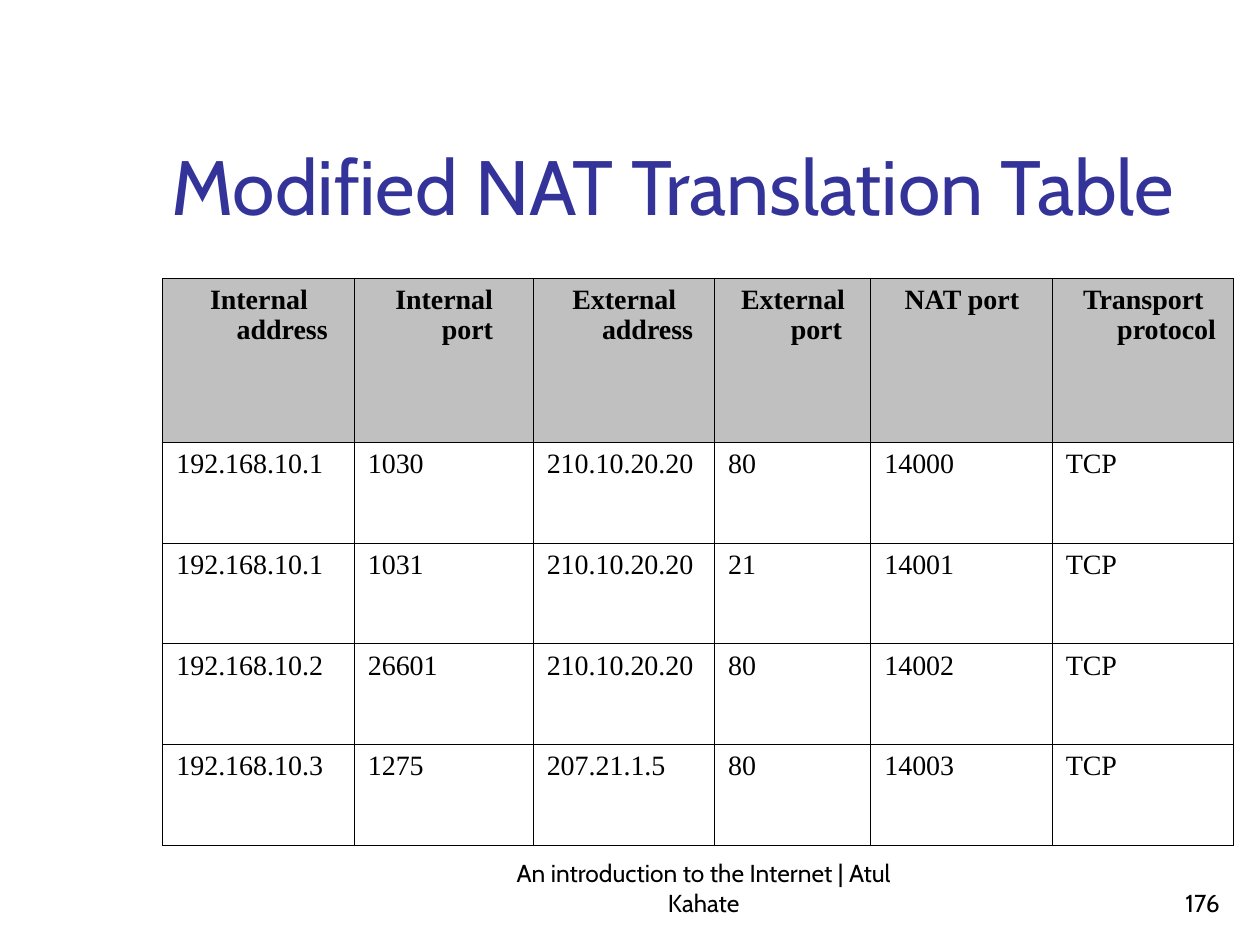
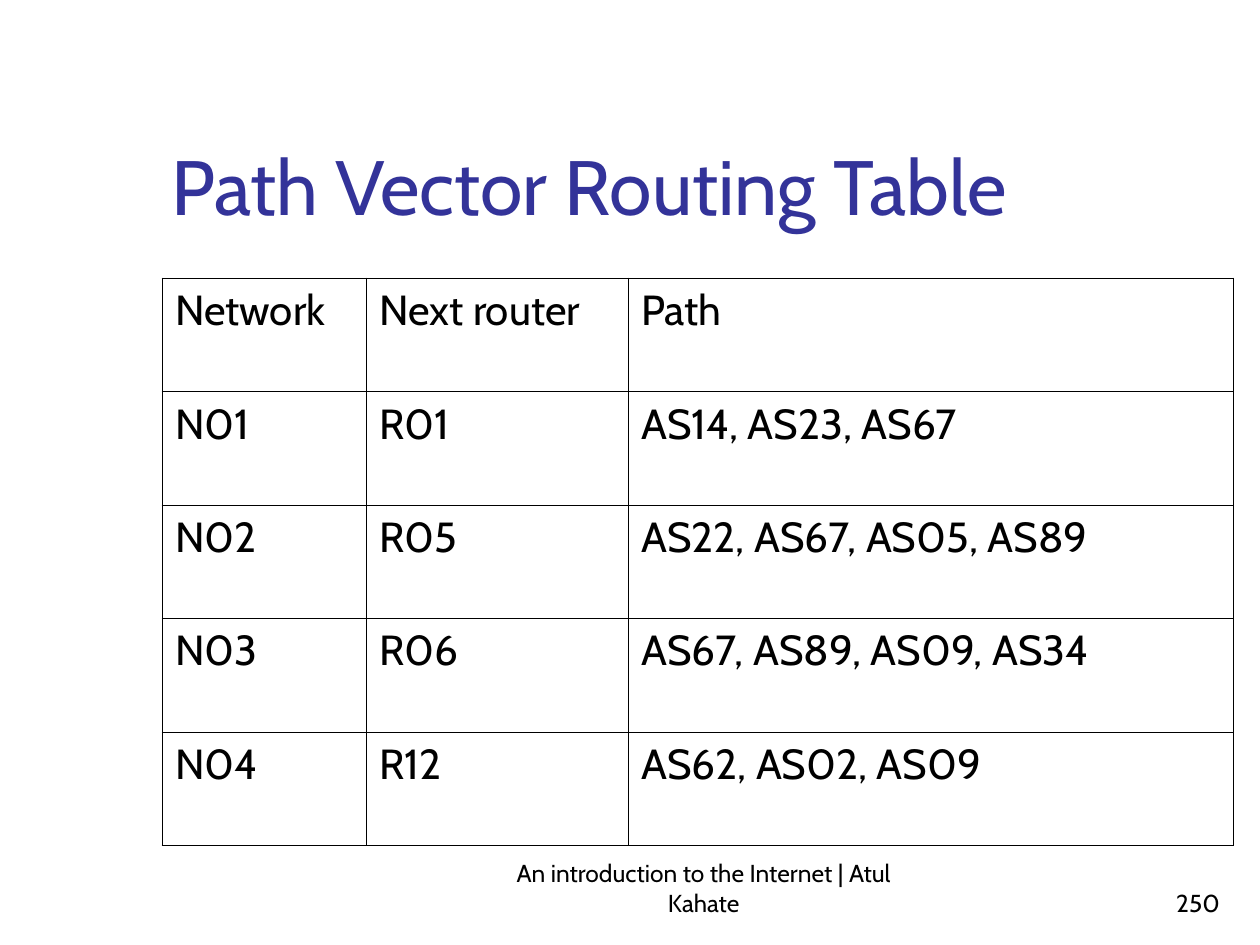
from lxml.etree import SubElement
from pptx import Presentation
from pptx.dml.color import RGBColor
from pptx.enum.text import MSO_ANCHOR as Anchor, PP_ALIGN as Align
from pptx.oxml.ns import qn
from pptx.util import Pt

PX = 9144
INK, TITLE_BLUE, HEADER_GRAY = "000000", "333399", "C0C0C0"
SANS, SERIF = "Cabin", "Times New Roman"
THIN, THICK = 0.45, 1.08
FOOTER = "An introduction to the Internet | Atul Kahate"
TABLE_LEFT, TABLE_TOP = 129, 221


def color(value):
    return RGBColor.from_string(value)


def write(frame, text, size, font=SANS, ink=INK, bold=False, align=Align.LEFT,
          anchor=Anchor.TOP, top=5, bottom=5, spacing=None, hanging=None):
    frame.word_wrap = True
    frame.vertical_anchor = anchor
    frame.margin_left = frame.margin_right = 10 * PX
    frame.margin_top, frame.margin_bottom = top * PX, bottom * PX
    paragraph = frame.paragraphs[0]
    paragraph.alignment = align
    paragraph.line_spacing = spacing
    if hanging:
        margin, indent = hanging
        properties = paragraph._p.get_or_add_pPr()
        properties.set("marL", str(margin * PX))
        properties.set("indent", str(indent * PX))
    run = paragraph.add_run()
    run.text = text
    run.font.name, run.font.size, run.font.bold = font, Pt(size), bold
    run.font.color.rgb = color(ink)


nat_text = dict(size=16, font=SERIF, top=6, spacing=0.95, hanging=(38, -37))
routing_text = dict(size=24, spacing=1.01)

pages = [
    dict(
        title="Modified NAT Translation Table", number="176",
        columns=[152, 142, 144, 124, 144, 144], heights=[130, 80, 80, 80, 80],
        outer=THIN, header_fill=HEADER_GRAY,
        header=dict(nat_text, bold=True, align=Align.CENTER),
        body=dict(nat_text, align=Align.JUSTIFY),
        rows=[
            ["Internal address", "Internal port", "External address",
             "External port", "NAT port", "Transport protocol"],
            ["192.168.10.1", "1030", "210.10.20.20", "80", "14000", "TCP"],
            ["192.168.10.1", "1031", "210.10.20.20", "21", "14001", "TCP"],
            ["192.168.10.2", "26601", "210.10.20.20", "80", "14002", "TCP"],
            ["192.168.10.3", "1275", "207.21.1.5", "80", "14003", "TCP"],
        ],
    ),
    dict(
        title="Path Vector Routing Table", number="250",
        columns=[162, 208, 480], heights=[90] * 5,
        outer=THICK, header_fill=None,
        header=routing_text, body=routing_text,
        rows=[
            ["Network", "Next router", "Path"],
            ["N01", "R01", "AS14, AS23, AS67"],
            ["N02", "R05", "AS22, AS67, AS05, AS89"],
            ["N03", "R06", "AS67, AS89, AS09, AS34"],
            ["N04", "R12", "AS62, AS02, AS09"],
        ],
    ),
]

presentation = Presentation()
presentation.slide_width, presentation.slide_height = 1000 * PX, 750 * PX

for page in pages:
    slide = presentation.slides.add_slide(presentation.slide_layouts[6])
    labels = [
        (FOOTER, (400, 683, 317, 50), dict(size=14, align=Align.CENTER)),
        (page["number"], (770, 683, 208, 50), dict(size=14, align=Align.RIGHT)),
        (page["title"], (126, 23, 852, 160), dict(size=44, ink=TITLE_BLUE, bottom=0)),
    ]
    for text, box, style in labels:
        shape = slide.shapes.add_textbox(*(length * PX for length in box))
        write(shape.text_frame, text, anchor=Anchor.BOTTOM, **style)

    columns, heights, rows = page["columns"], page["heights"], page["rows"]
    table = slide.shapes.add_table(
        len(rows), len(columns), TABLE_LEFT * PX, TABLE_TOP * PX,
        sum(columns) * PX, sum(heights) * PX).table
    table.first_row = table.horz_banding = False
    for column, width in zip(table.columns, columns):
        column.width = width * PX
    for row, height in zip(table.rows, heights):
        row.height = height * PX

    for row_index, values in enumerate(rows):
        for column_index, value in enumerate(values):
            cell = table.cell(row_index, column_index)
            is_header = row_index == 0
            on_edge = {
                "a:lnL": column_index == 0,
                "a:lnR": column_index == len(columns) - 1,
                "a:lnT": is_header,
                "a:lnB": row_index == len(rows) - 1,
            }
            properties = cell._tc.get_or_add_tcPr()
            for tag, outside in on_edge.items():
                weight = page["outer"] if outside else THIN
                line = SubElement(properties, qn(tag), w=str(int(Pt(weight))))
                fill = SubElement(line, qn("a:solidFill"))
                SubElement(fill, qn("a:srgbClr"), val=INK)
            if is_header and page["header_fill"]:
                cell.fill.solid()
                cell.fill.fore_color.rgb = color(page["header_fill"])
            else:
                cell.fill.background()
            style = dict(page["header" if is_header else "body"])
            cell.margin_left = cell.margin_right = 10 * PX
            cell.margin_top = style.pop("top", 5) * PX
            cell.margin_bottom = 5 * PX
            write(cell.text_frame, value, **style)

presentation.save("out.pptx")
